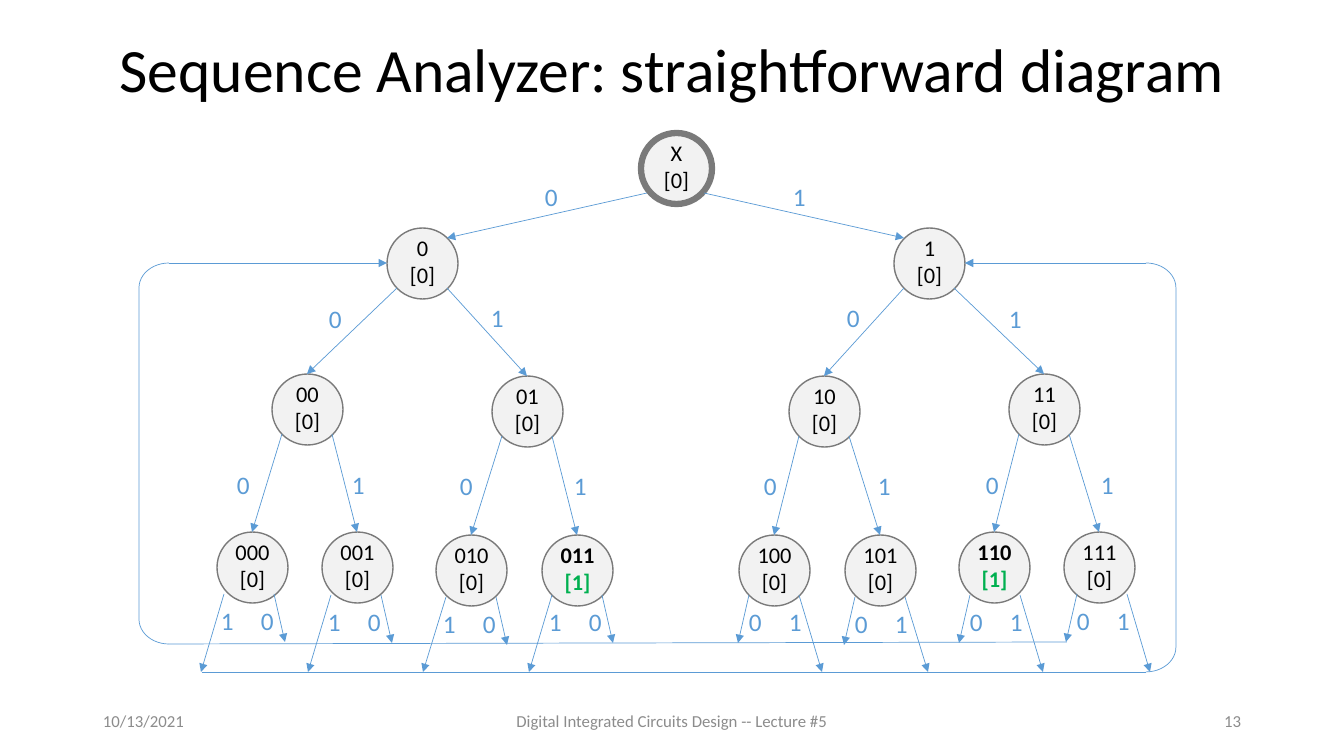
from dataclasses import dataclass
from lxml.etree import SubElement
from pptx import Presentation
from pptx.dml.color import RGBColor
from pptx.enum.shapes import MSO_CONNECTOR, MSO_SHAPE
from pptx.enum.text import MSO_ANCHOR, MSO_AUTO_SIZE, PP_ALIGN
from pptx.oxml.ns import qn
from pptx.util import Pt


@dataclass(frozen=True)
class Theme:
    font: str = "Calibri"
    ink: str = "000000"
    muted: str = "8C8C8C"
    disc: str = "F2F2F2"
    ring: str = "7A7A7A"
    flow: str = "5B9BD5"
    match: str = "00B050"
    title: int = 44
    state: int = 16
    label: int = 18
    foot: int = 12
    thin: float = 0.5


THEME = Theme()
SCALE = 914400 / 100.8
SIZE = 71
REACH = 35
DIAG = 25
LABEL = 33
MIRROR = 1351
LOW = 672
FLIP = str.maketrans("01", "10")
ROOT = (676, 168)
HITS = ("011", "110")

# state: centre, then left and top of the label on the edge leading to it
STATES = {
    "1": ((929, 263), (783, 176)),
    "10": ((824, 411), (837, 297)),
    "11": ((1044, 409), (999, 298)),
    "100": ((774, 570), (754, 465)),
    "101": ((880, 570), (868, 465)),
    "110": ((994, 567), (976, 464)),
    "111": ((1099, 567), (1091, 464)),
}
SHIFTS = {"100": (0, 1), "101": (0, 3), "110": (1, 1), "111": (3, 0)}


def emu(*pixels):
    return [round(p * SCALE) for p in pixels]


def color(code):
    return RGBColor.from_string(code)


def write(frame, *lines, size, hues=(THEME.ink,), bold=False,
          align=PP_ALIGN.LEFT, anchor=MSO_ANCHOR.MIDDLE, wrap=True, space=None):
    frame.word_wrap = wrap
    frame.vertical_anchor = anchor
    for i, line in enumerate(lines):
        para = frame.paragraphs[0] if i == 0 else frame.add_paragraph()
        para.alignment = align
        para.line_spacing = space
        run = para.add_run()
        run.text = line
        run.font.name = THEME.font
        run.font.size = Pt(size)
        run.font.bold = bold
        run.font.color.rgb = color(hues[min(i, len(hues) - 1)])


def add_text(slide, box, text, **style):
    frame = slide.shapes.add_textbox(*emu(*box)).text_frame
    write(frame, text, **style)
    return frame


def add_label(slide, spot, text):
    frame = add_text(slide, (*spot, LABEL, 40), text, size=THEME.label,
                     hues=(THEME.flow,), anchor=MSO_ANCHOR.TOP, wrap=False)
    frame.auto_size = MSO_AUTO_SIZE.SHAPE_TO_FIT_TEXT


def add_state(slide, center, name, width=1):
    x, y = center
    disc = slide.shapes.add_shape(
        MSO_SHAPE.OVAL, *emu(x - REACH, y - REACH, SIZE, SIZE))
    disc.shadow.inherit = False
    disc.fill.solid()
    disc.fill.fore_color.rgb = color(THEME.disc)
    disc.line.color.rgb = color(THEME.ring)
    disc.line.width = Pt(width)
    frame = disc.text_frame
    frame.margin_left = frame.margin_right = frame.margin_top = 0
    frame.margin_bottom = emu(5)[0]
    hit = name in HITS
    write(frame, name, "[1]" if hit else "[0]", size=THEME.state, bold=hit,
          hues=(THEME.ink, THEME.match if hit else THEME.ink),
          align=PP_ALIGN.CENTER)


def add_line(slide, start, end, arrow=True):
    link = slide.shapes.add_connector(
        MSO_CONNECTOR.STRAIGHT, *emu(*start, *end))
    link.line.color.rgb = color(THEME.flow)
    link.line.width = Pt(THEME.thin)
    props = link.element.spPr
    if arrow:
        SubElement(props.find(qn("a:ln")), qn("a:tailEnd"), type="triangle")
    SubElement(props, qn("a:effectLst"))


def add_bracket(slide, kind, box):
    shape = slide.shapes.add_shape(kind, *emu(*box))
    shape.adjustments[0] = 0.83
    shape.shadow.inherit = False
    shape.fill.background()
    shape.line.color.rgb = color(THEME.flow)
    shape.line.width = Pt(THEME.thin)


def add_half(slide, left):
    def place(x, y, width=0):
        return (MIRROR - x - width if left else x), y

    for key, (center, spot) in STATES.items():
        name = key.translate(FLIP) if left else key
        x, y = center
        add_state(slide, place(x, y), name)
        add_label(slide, place(*spot, LABEL), name[-1])
        if len(key) == 1:
            start, end = (ROOT[0] + 28, ROOT[1] + DIAG), (x - DIAG, y - DIAG)
        else:
            px, py = STATES[key[:-1]][0]
            side = DIAG if key[-1] == "1" else -DIAG
            start, end = (px + side, py + DIAG), (x, y - REACH)
        add_line(slide, place(*start), place(*end))

    for key, (dx, dy) in SHIFTS.items():
        x, top = STATES[key][0][0] + dx, 594 + dy
        exits = (("0", -DIAG, -36, 642 + dy, -35), ("1", DIAG, 48, LOW, 5))
        for bit, near, far, base, shift in exits:
            add_line(slide, place(x + near, top), place(x + far, base))
            add_label(slide, place(x + shift, 600 + dy, LABEL), bit)


def add_loops(slide):
    top = STATES["1"][0][1]
    add_bracket(slide, MSO_SHAPE.LEFT_BRACKET, (139, top, 30, 381))
    add_line(slide, (1067, 642), (169, 644), arrow=False)
    add_line(slide, (169, top), (387, top))
    add_bracket(slide, MSO_SHAPE.RIGHT_BRACKET, (1146, top, 30, LOW - top))
    add_line(slide, (202, LOW), (1146, LOW), arrow=False)
    add_line(slide, (1146, top), (965, top))


def main():
    deck = Presentation()
    deck.slide_width, deck.slide_height = emu(1344, 756)
    slide = deck.slides.add_slide(deck.slide_layouts[6])
    add_text(slide, (93, 33, 1159, 80),
             "Sequence Analyzer: straightforward diagram",
             size=THEME.title, align=PP_ALIGN.CENTER, space=0.9)
    feet = (
        (93, 302, "10/13/2021", PP_ALIGN.LEFT),
        (445, 454, "Digital Integrated Circuits Design -- Lecture #5",
         PP_ALIGN.CENTER),
        (949, 302, "13", PP_ALIGN.RIGHT),
    )
    for x, width, text, align in feet:
        add_text(slide, (x, 701, width, 40), text, size=THEME.foot,
                 hues=(THEME.muted,), align=align)
    add_state(slide, ROOT, "X", width=4.5)
    for left in (False, True):
        add_half(slide, left)
    add_loops(slide)
    deck.save("out.pptx")


main()
